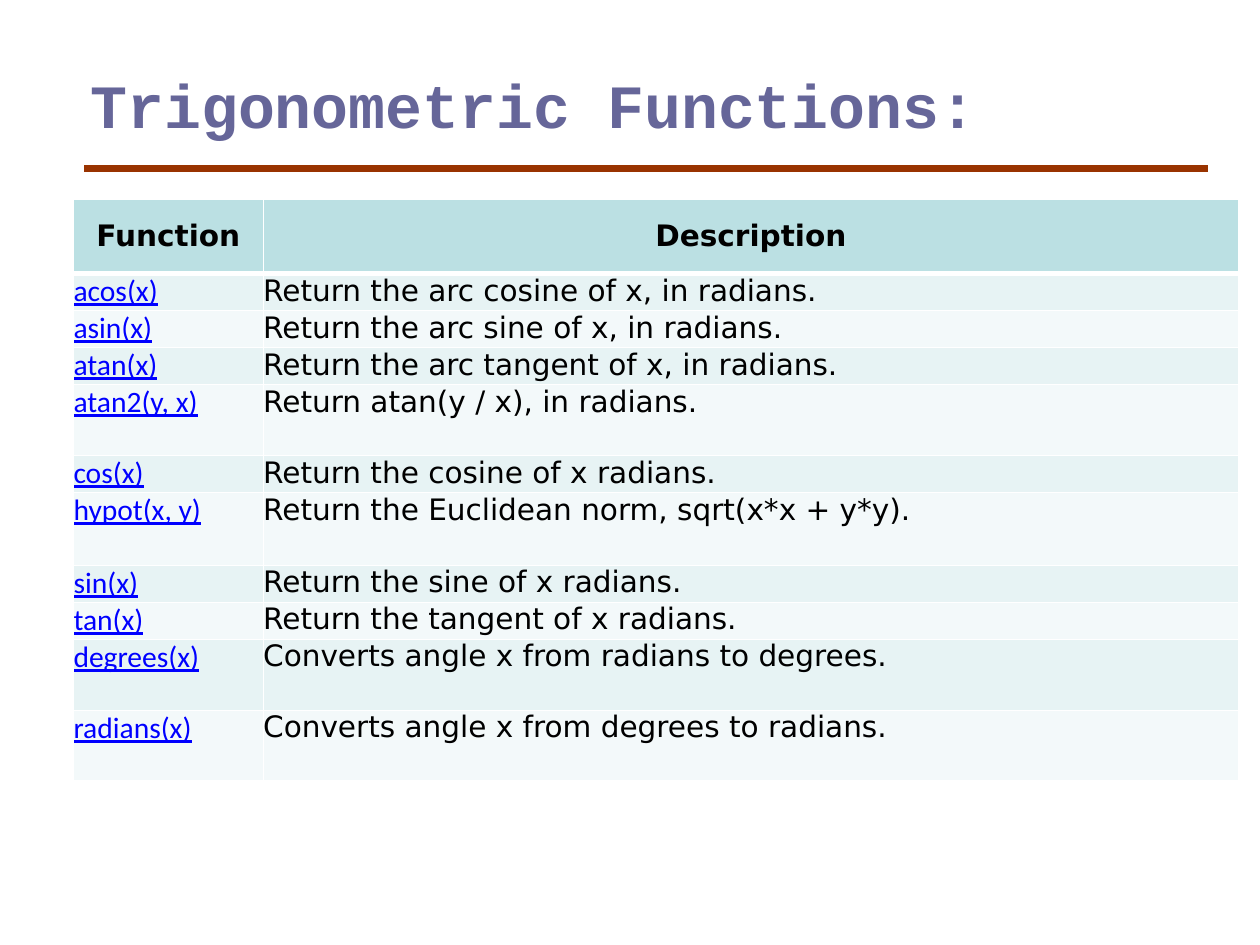
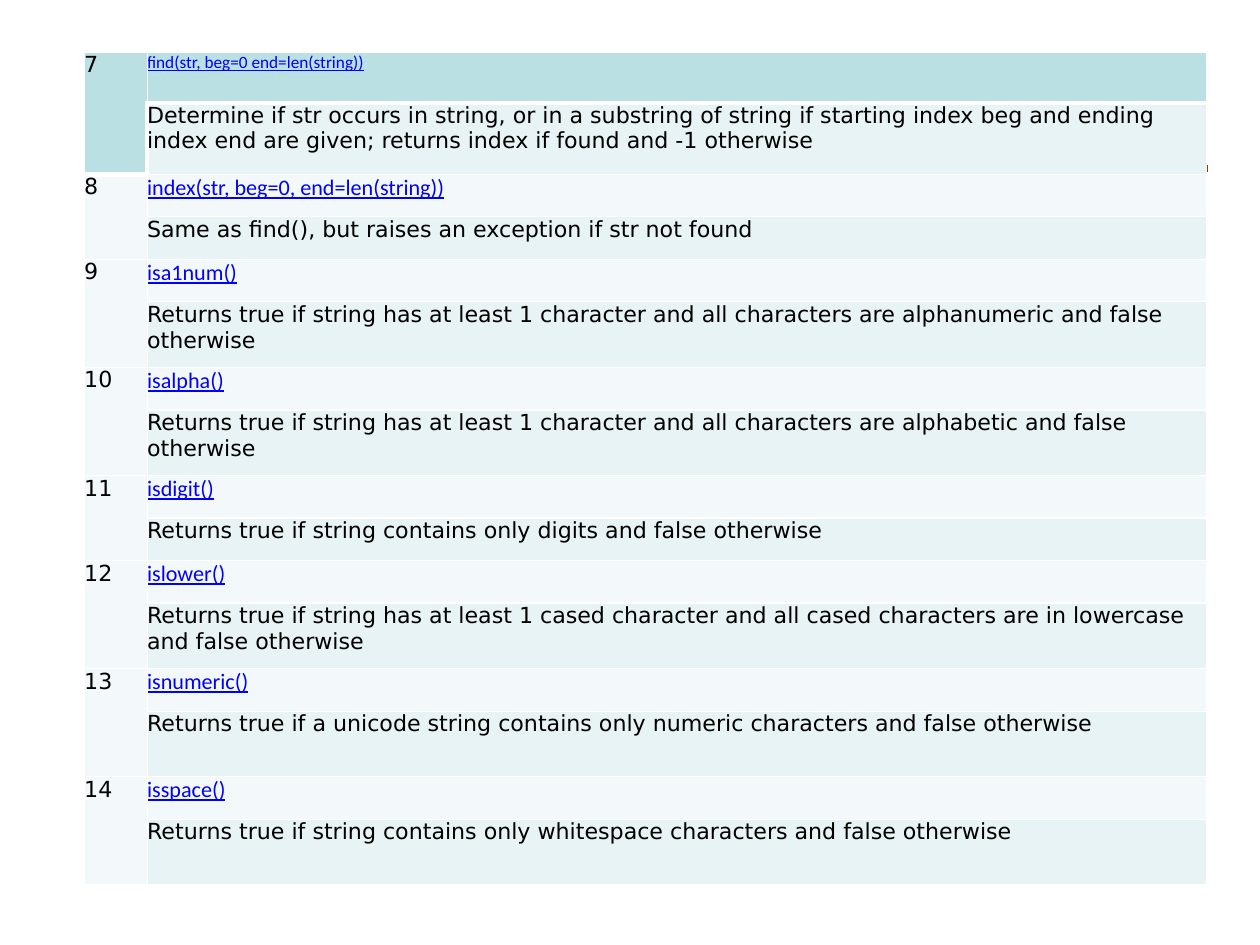
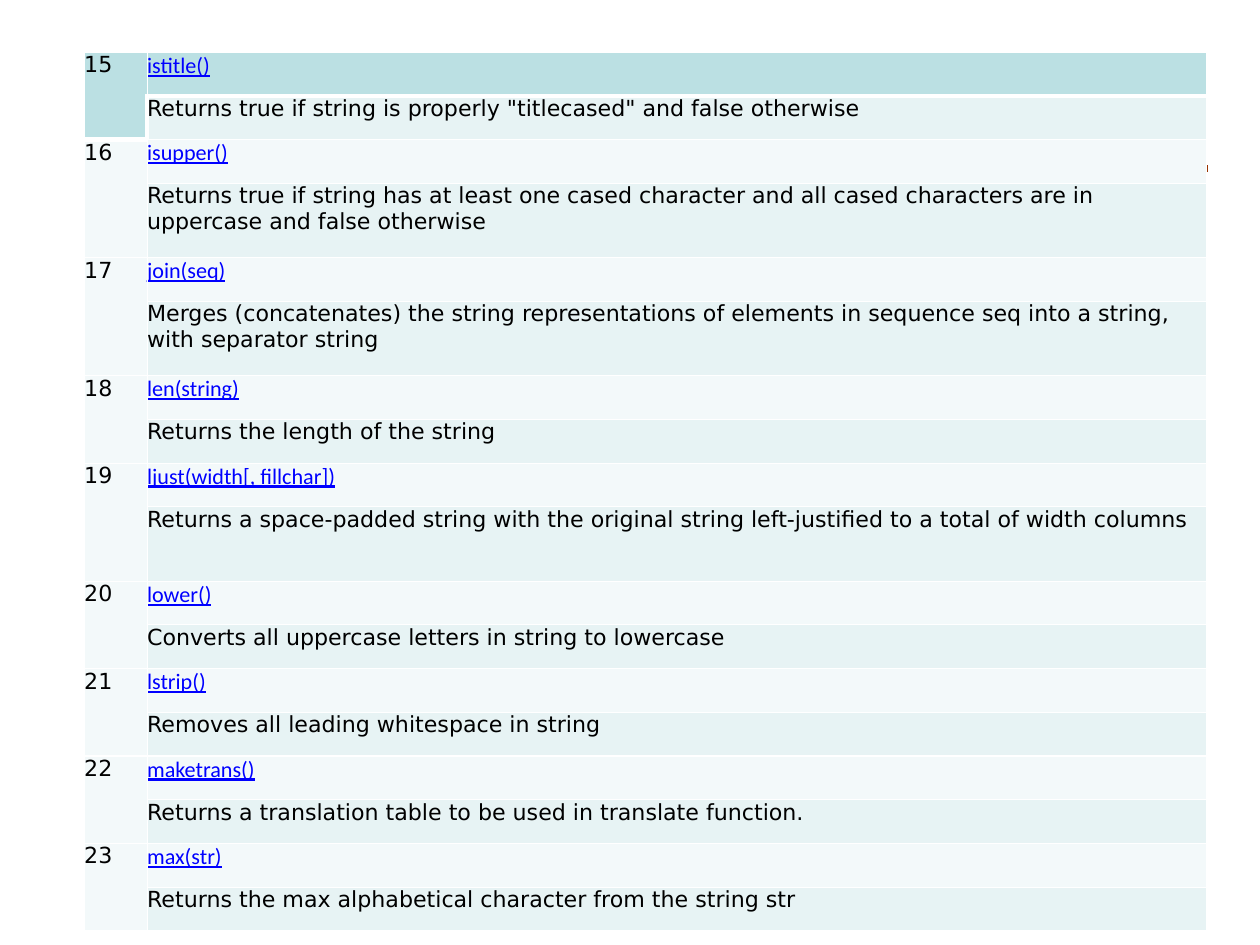
from dataclasses import dataclass
from lxml.etree import SubElement
from pptx import Presentation
from pptx.dml.color import RGBColor
from pptx.enum.shapes import MSO_CONNECTOR
from pptx.enum.text import MSO_ANCHOR, MSO_AUTO_SIZE, PP_ALIGN
from pptx.oxml.ns import qn
from pptx.util import Inches, Pt

LINE = MSO_CONNECTOR.STRAIGHT
LEFT, CENTER = PP_ALIGN.LEFT, PP_ALIGN.CENTER
TOP, MIDDLE, BOTTOM = MSO_ANCHOR.TOP, MSO_ANCHOR.MIDDLE, MSO_ANCHOR.BOTTOM
FIXED = MSO_AUTO_SIZE.NONE
TITLE_ONLY, BLANK = 5, 6


@dataclass(frozen=True)
class Theme:
    # Colours
    title: str = "666699"
    rule: str = "993300"
    ink: str = "000000"
    link: str = "0000FF"
    edge: str = "FFFFFF"
    head: str = "BBE0E3"
    odd: str = "E7F3F4"
    even: str = "F3F9FA"
    # Fonts
    mono: str = "Courier New"
    sans: str = "DejaVu Sans"
    code: str = "Calibri"
    # Type sizes and line widths in points
    huge: int = 50
    large: int = 24
    body: int = 18
    small: int = 14
    bar: int = 6
    thick: int = 4
    thin: int = 1


def color(value):
    return RGBColor.from_string(value)


class Deck:
    def __init__(self, theme):
        self.theme = theme
        self.show = Presentation()
        self.show.slide_width = Inches(14.22)
        self.show.slide_height = Inches(10.67)
        self.slide = None

    def page(self, title=None):
        """Start a slide with the shared rule and, if given, a title."""
        layout = self.show.slide_layouts[TITLE_ONLY if title else BLANK]
        self.slide = self.show.slides.add_slide(layout)
        self.rule()
        if title:
            self.title(title)

    def rule(self):
        bar = self.slide.shapes.add_connector(
            LINE, Inches(0.95), Inches(1.9), Inches(13.63), Inches(1.9))
        bar.line.color.rgb = color(self.theme.rule)
        bar.line.width = Pt(self.theme.bar)
        SubElement(bar.element.spPr, qn("a:effectLst"))

    def title(self, text):
        box = self.slide.shapes.title
        box.left, box.top = Inches(0.95), Inches(0.59)
        box.width, box.height = Inches(12.68), Inches(1.07)
        frame = box.text_frame
        frame.auto_size, frame.vertical_anchor = FIXED, BOTTOM
        frame.margin_left = frame.margin_right = Inches(0.07)
        frame.margin_top = frame.margin_bottom = Inches(0.07)
        frame.text = text
        theme = self.theme
        self.style(frame.paragraphs[0], theme.mono, theme.huge, theme.title, bold=True)

    def style(self, para, face, size, ink, bold=False, under=False, align=LEFT):
        para.alignment = align
        font = para.font
        font.name, font.size, font.bold = face, Pt(size), bold
        font.underline = under
        font.color.rgb = color(ink)

    def border(self, cell, heavy):
        """Draw all four cell edges; sides named in heavy are thick."""
        props = cell._tc.get_or_add_tcPr()
        for side in "LRTB":
            width = self.theme.thick if side in heavy else self.theme.thin
            line = SubElement(props, qn("a:ln" + side), w=str(Pt(width)))
            fill = SubElement(line, qn("a:solidFill"))
            SubElement(fill, qn("a:srgbClr"), val=self.theme.edge)

    def cell(self, cell, row, text, heavy, kind, size):
        theme = self.theme
        self.border(cell, heavy)
        cell.fill.solid()
        band = theme.odd if row % 2 else theme.even
        cell.fill.fore_color.rgb = color(band if row else theme.head)
        cell.margin_left = cell.margin_right = 0
        cell.margin_top = cell.margin_bottom = 0
        cell.vertical_anchor = MIDDLE if kind == "head" else TOP
        if text is None:
            return
        cell.text = text
        para = cell.text_frame.paragraphs[0]
        if kind == "link":
            self.style(para, theme.code, size, theme.link, under=True)
        elif kind == "head":
            self.style(para, theme.sans, size, theme.ink, bold=True, align=CENTER)
        else:
            self.style(para, theme.sans, size, theme.ink)

    def grid(self, box, cols, count, tall):
        """Add a table; rows not listed in tall share the height left over."""
        table = self.slide.shapes.add_table(
            count, len(cols), *(Inches(n) for n in box)).table
        table.first_row = table.horz_banding = False
        for col, width in zip(table.columns, cols):
            col.width = Inches(width)
        share = (box[3] - sum(tall.values())) / (count - len(tall))
        for i, row in enumerate(table.rows):
            row.height = Inches(tall.get(i, share))
        return table

    def pairs(self, head, rows, tall):
        """Table with a heading row, then one row for each function."""
        size = self.theme.large
        table = self.grid((0.83, 2.25, 13.14, 6.57), (2.14, 11.01), len(rows) + 1, tall)
        for i, row in enumerate([head, *rows]):
            heavy = {0: "B", 1: "T"}.get(i, "")
            for j, text in enumerate(row):
                kind = "head" if i == 0 else ("link", "text")[j]
                self.cell(table.cell(i, j), i, text, heavy, kind, size)

    def stack(self, first, items, height, tall, lead):
        """Numbered table: each number spans a name and its description."""
        size = self.theme.body
        heavy = {(0, 0): "B", (0, 1): "B", (1, 1): "LT", (2, 0): "T"}
        table = self.grid((0.95, 0.59, 12.67, height), (0.71, 11.96), 2 * len(items), tall)
        for i, (name, note) in enumerate(items):
            top = 2 * i
            rows = ((str(first + i), name), (None, note))
            for row, (mark, text) in enumerate(rows, top):
                kind = "text" if row % 2 else "link"
                self.cell(table.cell(row, 0), row, mark, heavy.get((row, 0), ""), "text", size)
                self.cell(table.cell(row, 1), row, text, heavy.get((row, 1), ""), kind,
                          size if row else lead)
            table.cell(top, 0).merge(table.cell(top + 1, 0))


theme = Theme()
deck = Deck(theme)

# Trigonometric functions
deck.page("Trigonometric Functions:")
deck.pairs(("Function", "Description"), [
    ("acos(x)", "Return the arc cosine of x, in radians."),
    ("asin(x)", "Return the arc sine of x, in radians."),
    ("atan(x)", "Return the arc tangent of x, in radians."),
    ("atan2(y, x)", "Return atan(y / x), in radians."),
    ("cos(x)", "Return the cosine of x radians."),
    ("hypot(x, y)", "Return the Euclidean norm, sqrt(x*x + y*y)."),
    ("sin(x)", "Return the sine of x radians."),
    ("tan(x)", "Return the tangent of x radians."),
    ("degrees(x)", "Converts angle x from radians to degrees."),
    ("radians(x)", "Converts angle x from degrees to radians."),
], {0: 0.84, 4: 0.8, 6: 0.82, 9: 0.8, 10: 0.8})

# String methods 7 to 14
deck.page()
deck.stack(7, [
    ("find(str, beg=0 end=len(string))",
     "Determine if str occurs in string, or in a substring of string if starting "
     "index beg and ending index end are given; returns index if found and -1 otherwise"),
    ("index(str, beg=0, end=len(string))",
     "Same as find(), but raises an exception if str not found"),
    ("isa1num()", "Returns true if string has at least 1 character and all "
     "characters are alphanumeric and false otherwise"),
    ("isalpha()", "Returns true if string has at least 1 character and all "
     "characters are alphabetic and false otherwise"),
    ("isdigit()", "Returns true if string contains only digits and false otherwise"),
    ("islower()", "Returns true if string has at least 1 cased character and all "
     "cased characters are in lowercase and false otherwise"),
    ("isnumeric()", "Returns true if a unicode string contains only numeric "
     "characters and false otherwise"),
    ("isspace()", "Returns true if string contains only whitespace characters "
     "and false otherwise"),
], 9.4, {0: 0.57, 1: 0.81, **dict.fromkeys((5, 7, 11, 13, 15), 0.74)}, theme.small)

# String methods 15 to 23
deck.page()
deck.stack(15, [
    ("istitle()", 'Returns true if string is properly "titlecased" and false otherwise'),
    ("isupper()", "Returns true if string has at least one cased character and all "
     "cased characters are in uppercase and false otherwise"),
    ("join(seq)", "Merges (concatenates) the string representations of elements in "
     "sequence seq into a string, with separator string"),
    ("len(string)", "Returns the length of the string"),
    ("ljust(width[, fillchar])", "Returns a space-padded string with the original "
     "string left-justified to a total of width columns"),
    ("lower()", "Converts all uppercase letters in string to lowercase"),
    ("lstrip()", "Removes all leading whitespace in string"),
    ("maketrans()", "Returns a translation table to be used in translate function."),
    ("max(str)", "Returns the max alphabetical character from the string str"),
], 9.92, dict.fromkeys((3, 5, 9), 0.84), theme.body)

deck.show.save("out.pptx")
